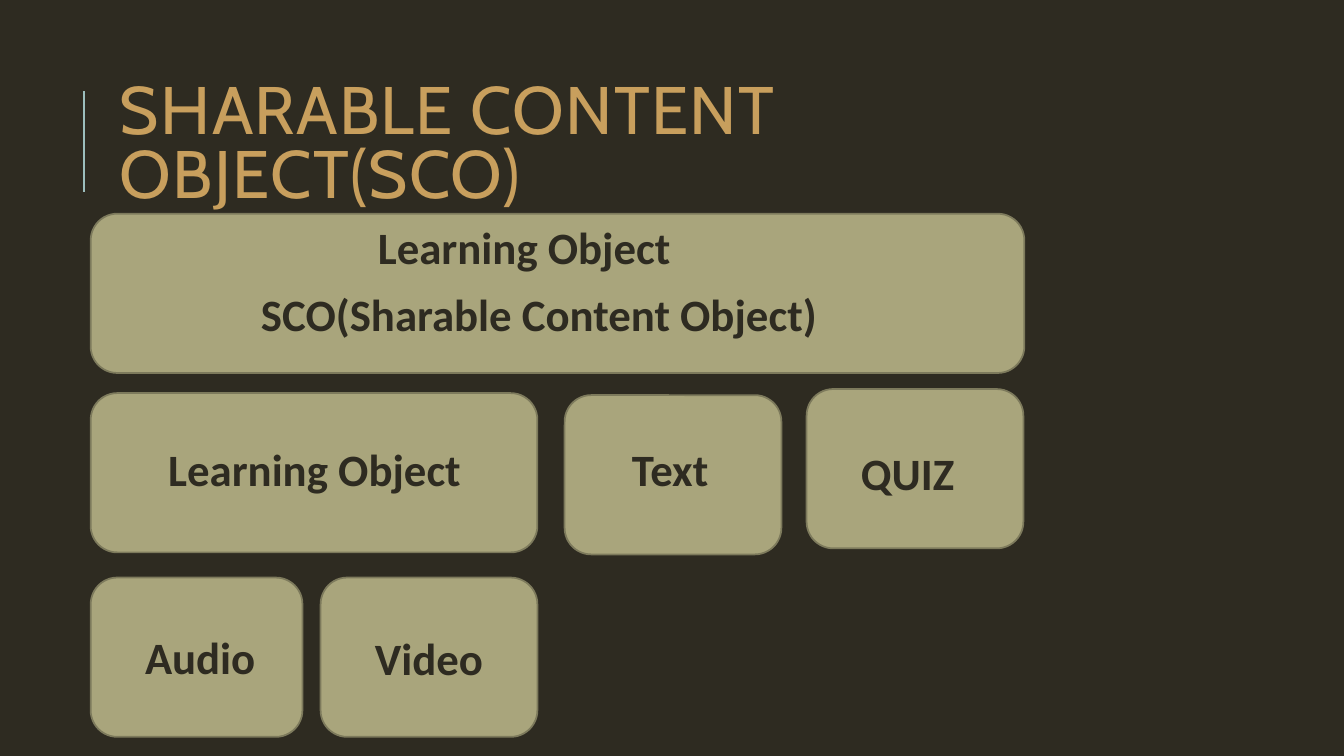
"""Build the Sharable Content Object slide."""
import pptx
import pptx.dml.color
import pptx.enum.shapes
import pptx.enum.text
import pptx.oxml
import pptx.oxml.ns
import pptx.util

Inches = pptx.util.Inches
Pt = pptx.util.Pt
ALIGN = pptx.enum.text.PP_ALIGN
ANCHOR = pptx.enum.text.MSO_ANCHOR

DARK, OLIVE, OLIVE_EDGE = "2E2B21", "A9A57C", "7D7A5C"
GOLD, TEAL = "C89F5D", "9CBEBD"
LEFT, BLOCK_HEIGHT, SMALL_WIDTH, WIDE_WIDTH = 0.9, 1.58, 2.15, 4.43
BOTTOM_ROW, LABEL_HEIGHT = 5.73, 0.64

BLOCKS = [
    (LEFT, BOTTOM_ROW, 2.1),
    (LEFT, 3.9, WIDE_WIDTH),
    (5.6, 3.92, SMALL_WIDTH),
    (8, 3.86, SMALL_WIDTH),
    (LEFT, 2.12, 9.26),
]
LABELS = [
    ("Audio", 1.34, 6.2, 1.45),
    ("Text", 6.17, 4.33, 1.16),
    ("QUIZ", 8.44, 4.37, 1.28),
    ("Learning Object", 1.57, 4.33, 3.91),
    ("Learning Object", 3.65, 2.13, 3.91),
    ("SCO(Sharable Content Object)", 2.49, 2.8, 5.98),
]


def color(hex_text):
    """Return the colour for a hex string."""
    return pptx.dml.color.RGBColor.from_string(hex_text)


def write(shape, text, size=32, font="Calibri", ink=DARK, bold=True,
          align=ALIGN.LEFT, anchor=ANCHOR.TOP, line_spacing=None, tracking=None):
    """Put formatted text into a shape."""
    frame = shape.text_frame
    frame.word_wrap = True
    frame.auto_size = pptx.enum.text.MSO_AUTO_SIZE.NONE
    frame.vertical_anchor = anchor
    para = frame.paragraphs[0]
    para.alignment = align
    para.line_spacing = line_spacing
    span = para.add_run()
    span.text = text
    span.font.size = Pt(size)
    span.font.name = font
    span.font.bold = bold
    span.font.color.rgb = color(ink)
    if tracking is not None:
        span.font._element.set("spc", str(tracking * 100))


def add_title(page, text):
    """Place and format the title placeholder."""
    title = page.shapes.title
    title.left, title.top = Inches(1.09), Inches(0.64)
    title.width, title.height = Inches(10.63), Inches(1.64)
    write(title, text, size=48, font="Cabin", ink=GOLD, bold=False,
          anchor=ANCHOR.MIDDLE, line_spacing=0.8, tracking=1)


def add_rule(page, x, top, bottom):
    """Draw the vertical accent line beside the title."""
    rule = page.shapes.add_connector(
        pptx.enum.shapes.MSO_CONNECTOR.STRAIGHT,
        Inches(x), Inches(bottom), Inches(x), Inches(top))
    rule.line.color.rgb = color(TEAL)
    rule.line.width = Pt(1.5)
    properties = rule._element.find(pptx.oxml.ns.qn("p:spPr"))
    properties.append(pptx.oxml.parse_xml(
        f"<a:effectLst {pptx.oxml.ns.nsdecls('a')}/>"))


def add_block(page, left, top, width):
    """Draw a rounded block and return it."""
    block = page.shapes.add_shape(
        pptx.enum.shapes.MSO_SHAPE.ROUNDED_RECTANGLE,
        Inches(left), Inches(top), Inches(width), Inches(BLOCK_HEIGHT))
    block.shadow.inherit = False
    block.fill.solid()
    block.fill.fore_color.rgb = color(OLIVE)
    block.line.color.rgb = color(OLIVE_EDGE)
    block.line.width = Pt(1.25)
    return block


def add_label(page, text, left, top, width):
    """Add a text box with a block label."""
    box = page.shapes.add_textbox(
        Inches(left), Inches(top), Inches(width), Inches(LABEL_HEIGHT))
    write(box, text)


def main():
    """Build and save the deck."""
    deck = pptx.Presentation()
    deck.slide_width, deck.slide_height = Inches(13.33), Inches(7.5)
    page = deck.slides.add_slide(deck.slide_layouts[5])
    page.background.fill.solid()
    page.background.fill.fore_color.rgb = color(DARK)
    add_rule(page, 0.83, 0.9, 1.9)
    add_title(page, "SHARABLE CONTENT OBJECT(SCO)")
    for block in BLOCKS:
        add_block(page, *block)
    video = add_block(page, 3.18, BOTTOM_ROW, SMALL_WIDTH)
    write(video, "Video", align=ALIGN.CENTER, anchor=ANCHOR.MIDDLE)
    for label in LABELS:
        add_label(page, *label)
    deck.save("out.pptx")


if __name__ == "__main__":
    main()
